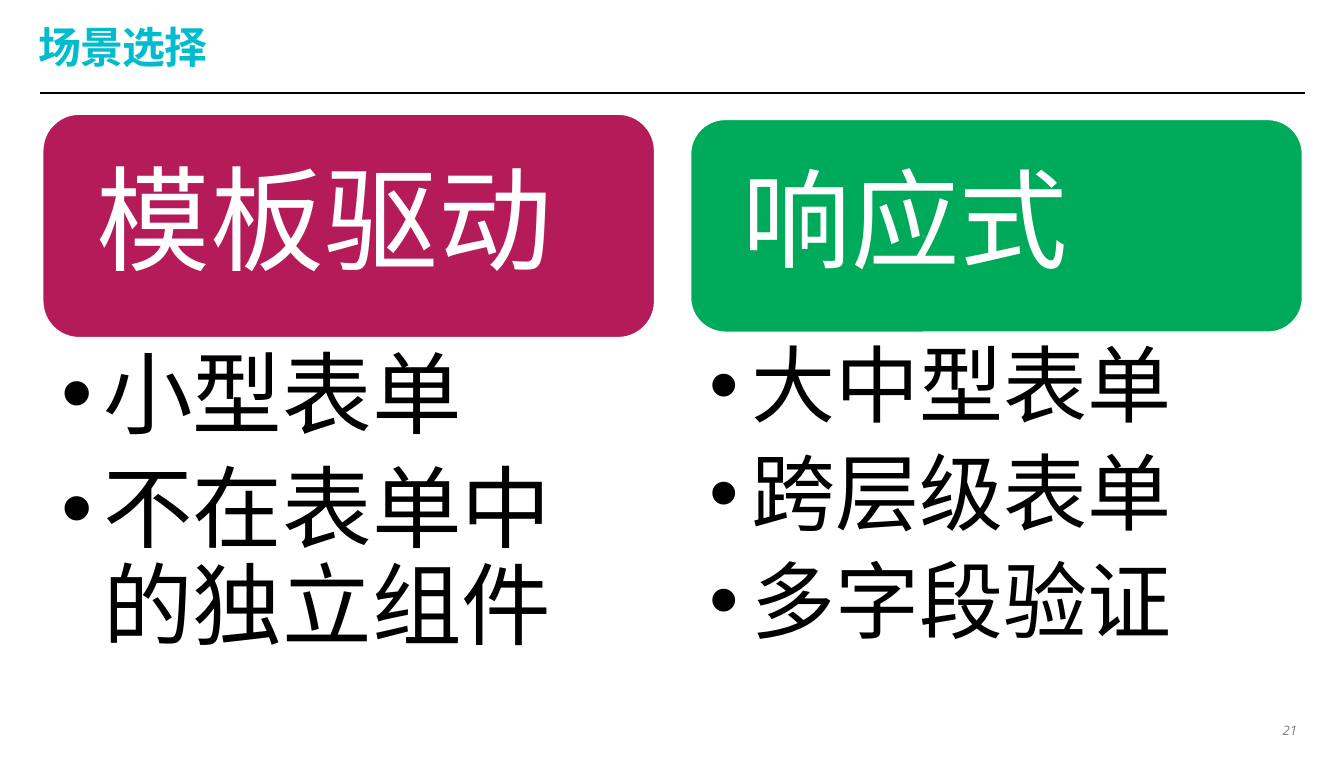
from pptx import Presentation
from pptx.util import Pt
from pptx.dml.color import RGBColor
from pptx.enum.shapes import MSO_CONNECTOR, MSO_SHAPE
from pptx.enum.text import MSO_ANCHOR, MSO_AUTO_SIZE, PP_ALIGN
from pptx.oxml.ns import qn
from lxml.etree import SubElement

PX = 9144
COLORS = {
    "title": "00BCCD",
    "template": "B51B58",
    "reactive": "00AA5B",
    "white": "FFFFFF",
    "black": "000000",
    "gray": "808184",
}


def color(name):
    return RGBColor.from_string(COLORS[name])


def write(sp, lines, size, fill, font="Arial", bold=False, italic=False,
          align=PP_ALIGN.LEFT, anchor=MSO_ANCHOR.TOP, insets=(0, 0, 0, 0),
          wrap=True, line_spacing=None, after=0, indent=0, tracking=None):
    tf = sp.text_frame
    tf.word_wrap = wrap
    tf.auto_size = MSO_AUTO_SIZE.NONE
    tf.vertical_anchor = anchor
    tf.margin_left, tf.margin_top, tf.margin_right, tf.margin_bottom = [
        v * PX for v in insets]
    for i, line in enumerate(lines):
        p = tf.add_paragraph() if i else tf.paragraphs[0]
        p.alignment = align
        p.space_before = Pt(0)
        p.space_after = Pt(after)
        if line_spacing:
            p.line_spacing = line_spacing
        if indent:
            pPr = p._p.get_or_add_pPr()
            pPr.set("marL", str(indent * PX))
            pPr.set("indent", str(-indent * PX))
            SubElement(pPr, qn("a:buFont")).set("typeface", "Arial")
            SubElement(pPr, qn("a:buChar")).set("char", "•")
        r = p.add_run()
        r.text = line
        r.font.size = Pt(size)
        r.font.name = font
        r.font.bold = bold
        r.font.italic = italic
        r.font.color.rgb = color(fill)
        rPr = r._r.get_or_add_rPr()
        rPr.set("lang", "zh-CN")
        if tracking:
            rPr.set("spc", str(tracking))
        SubElement(rPr, qn("a:ea")).set("typeface", font)


prs = Presentation()
prs.slide_width, prs.slide_height = 1000 * PX, 563 * PX
s = prs.slides.add_slide(prs.slide_layouts[5])

title = s.shapes.title
title.left, title.top, title.width, title.height = [
    v * PX for v in (29, 18, 941, 42)]
write(title, ["场景选择"], 23, "title", font="Noto Sans CJK JP", bold=True,
      anchor=MSO_ANCHOR.MIDDLE, line_spacing=0.7, tracking=-60)

rule = s.shapes.add_connector(
    MSO_CONNECTOR.STRAIGHT, 30 * PX, 69 * PX, 971 * PX, 69 * PX)
rule.line.color.rgb = color("black")
rule.line.width = Pt(1)
SubElement(rule._element.spPr, qn("a:effectLst"))

columns = [
    (31, 84, 168, "template", "模板驱动", 61, 33, 48, 47,
     ["小型表单", "不在表单中的独立组件"]),
    (513, 88, 160, "reactive", "响应式", 58, 32, 45, 45,
     ["大中型表单", "跨层级表单", "多字段验证"]),
]
for x, y, h, fill, heading, head_size, pad, size, right, items in columns:
    card = s.shapes.add_shape(
        MSO_SHAPE.ROUNDED_RECTANGLE, x * PX, y * PX, 457 * PX, h * PX)
    card.shadow.inherit = False
    card.fill.solid()
    card.fill.fore_color.rgb = color(fill)
    card.line.color.rgb = color("white")
    card.line.width = Pt(2)
    write(card, [heading], head_size, "white", anchor=MSO_ANCHOR.MIDDLE,
          insets=(pad, pad, pad, pad), line_spacing=0.9)

    body = s.shapes.add_textbox(x * PX, (y + h) * PX, 457 * PX, 269 * PX)
    write(body, items, size, "black", insets=(15, 8, right, 8),
          line_spacing=0.9, after=round(size * 0.2, 1), indent=31)

number = s.shapes.add_textbox(950 * PX, 534 * PX, 21 * PX, 17 * PX)
write(number, ["21"], 7, "gray", font="Open Sans", italic=True,
      align=PP_ALIGN.RIGHT, insets=(6, 3, 6, 3), wrap=False)

prs.save("out.pptx")
